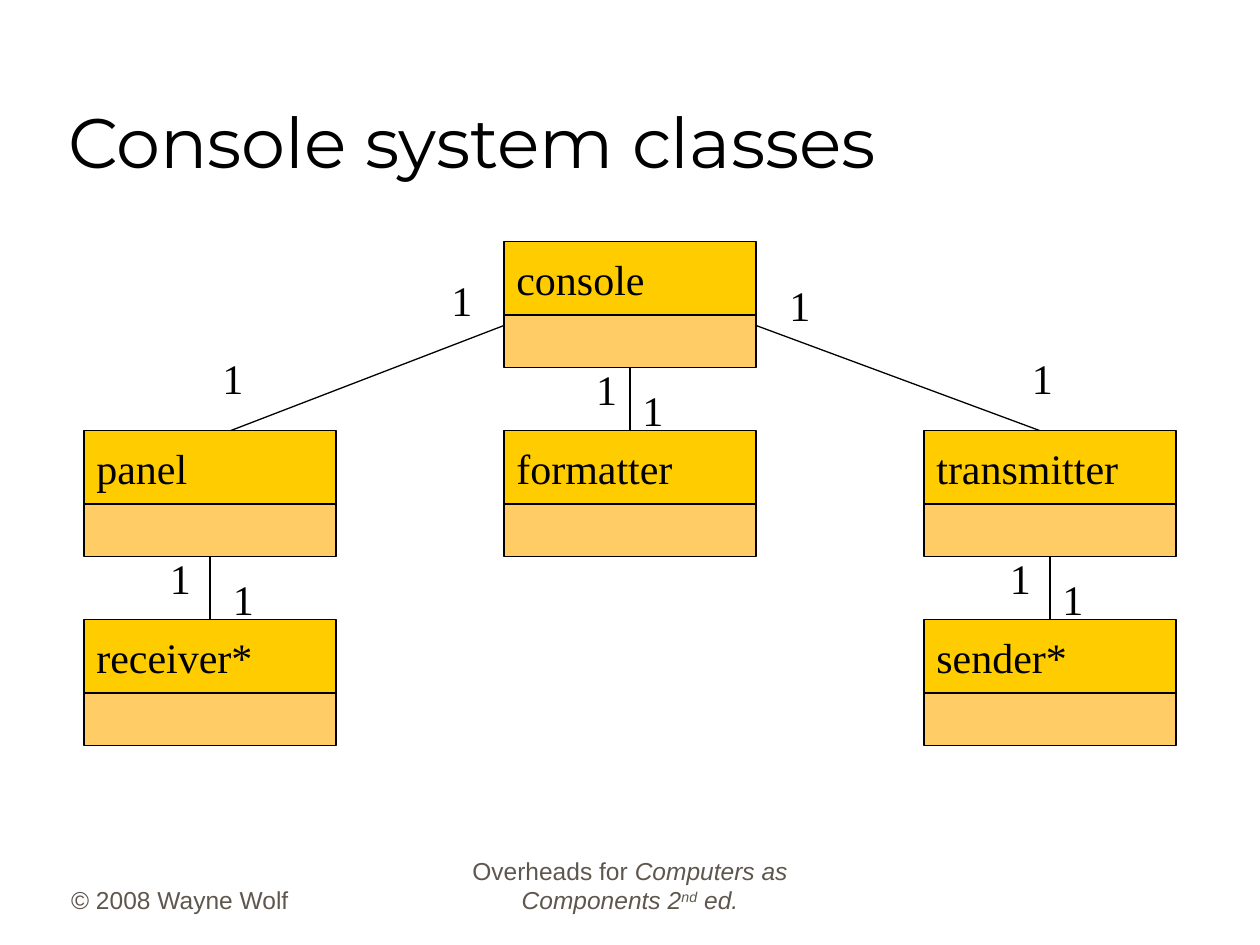
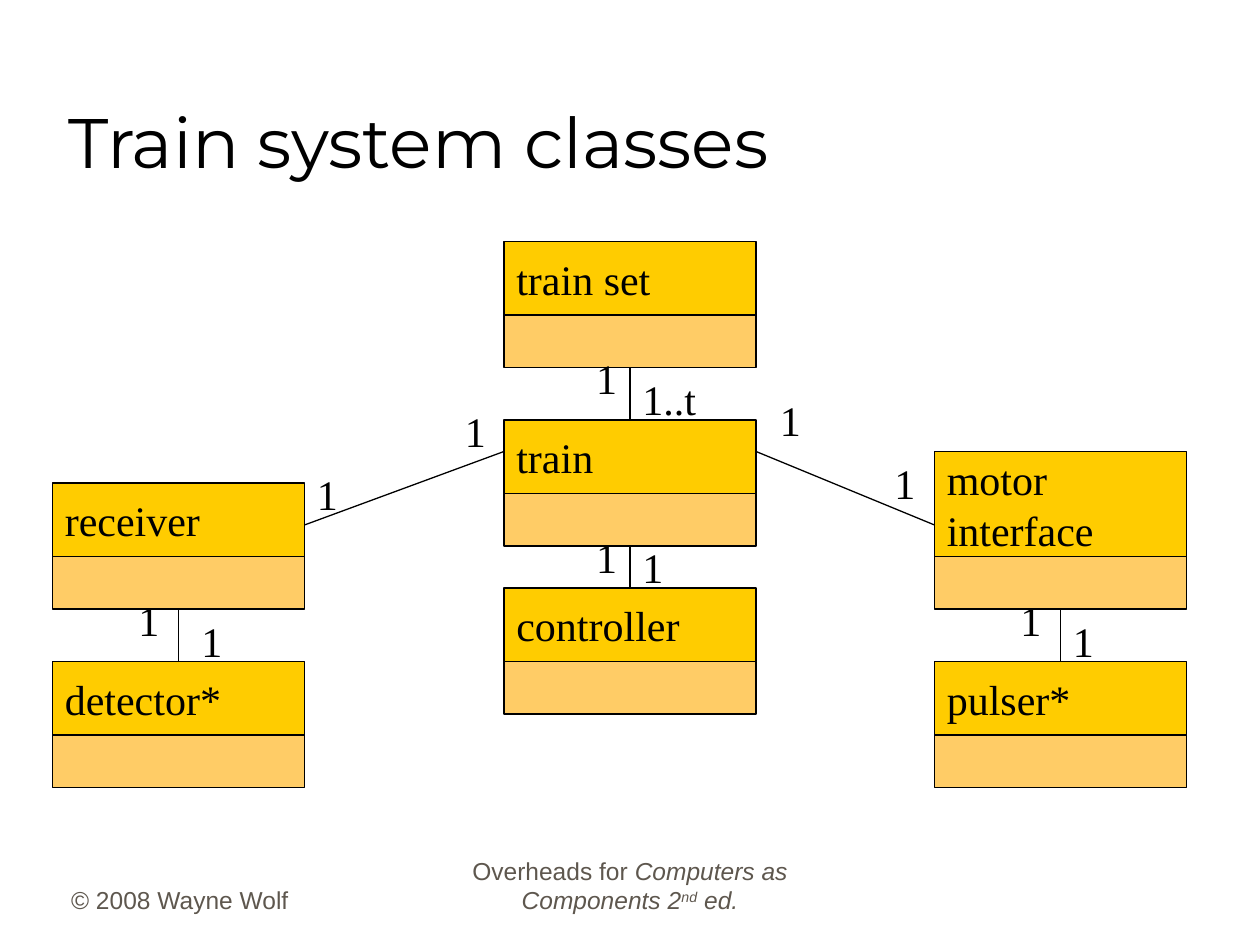
from lxml import etree
from pptx import Presentation
from pptx.dml.color import RGBColor
from pptx.enum.shapes import MSO_CONNECTOR, MSO_SHAPE
from pptx.enum.text import MSO_ANCHOR, MSO_AUTO_SIZE, PP_ALIGN
from pptx.oxml.ns import qn
from pptx.util import Pt

PX = 7620
BLACK = RGBColor(0x00, 0x00, 0x00)
GREY = RGBColor(0x5E, 0x57, 0x4E)
GOLD = RGBColor(0xFF, 0xCC, 0x00)
PEACH = RGBColor(0xFF, 0xCC, 0x66)
RECT = MSO_SHAPE.RECTANGLE
LINE = MSO_CONNECTOR.STRAIGHT
TOP, MIDDLE, BOTTOM = MSO_ANCHOR.TOP, MSO_ANCHOR.MIDDLE, MSO_ANCHOR.BOTTOM
LEFT, CENTER = PP_ALIGN.LEFT, PP_ALIGN.CENTER
GROW = MSO_AUTO_SIZE.SHAPE_TO_FIT_TEXT
SERIF = ("Times New Roman", 24, BLACK)
SANS = ("Arial", 14, GREY)
HEAD = ("Montserrat", 40, BLACK)
WIDE, NAME, BODY = 240, 70, 50

FOOTS = [
    (56, 250, LEFT, [("© 2008 Wayne Wolf", False, 0)]),
    (410, 380, CENTER, [
        ("Overheads for ", False, 0),
        ("Computers as Components 2", True, 0),
        ("nd", True, 30000),
        (" ed.", True, 0),
    ]),
]

SLIDES = [
    {
        "title": "Console system classes",
        "boxes": [
            (480, 230, "console"), (80, 410, "panel"),
            (480, 410, "formatter"), (880, 410, "transmitter"),
            (80, 590, "receiver*"), (880, 590, "sender*"),
        ],
        "links": [
            (480, 310, 220, 410), (720, 310, 990, 410),
            (600, 350, 600, 410), (200, 530, 200, 590),
            (1000, 530, 1000, 590),
        ],
        "marks": [
            (418, 256, "1"), (200, 330, "1"), (740, 260, "1"),
            (971, 330, "1"), (556, 340, "1"), (600, 360, "1"),
            (150, 520, "1"), (210, 540, "1"), (950, 520, "1"),
            (1000, 540, "1"),
        ],
    },
    {
        "title": "Train system classes",
        "boxes": [
            (480, 230, "train set"), (480, 400, "train"),
            (50, 460, "receiver"), (480, 560, "controller"),
            (890, 430, "motor\ninterface"), (50, 630, "detector*"),
            (890, 630, "pulser*"),
        ],
        "links": [
            (600, 350, 600, 400), (480, 430, 290, 500),
            (720, 430, 890, 500), (600, 520, 600, 560),
            (170, 580, 170, 630), (1010, 580, 1010, 630),
        ],
        "marks": [
            (556, 330, "1"), (600, 350, "1..t"), (731, 370, "1"),
            (840, 430, "1"), (960, 560, "1"), (1010, 580, "1"),
            (556, 500, "1"), (600, 510, "1"), (431, 380, "1"),
            (290, 440, "1"), (120, 560, "1"), (180, 580, "1"),
        ],
    },
]


def write(shape, lines, style, anchor=TOP, wrap=False, align=LEFT, gap=0):
    face, size, color = style
    frame = shape.text_frame
    frame.word_wrap = wrap
    frame.vertical_anchor = anchor
    for at, runs in enumerate(lines):
        para = frame.add_paragraph() if at else frame.paragraphs[0]
        para.alignment = align
        para.space_before = Pt(gap)
        for text, slant, lift in runs:
            run = para.add_run()
            run.text = text
            run.font.name = face
            run.font.size = Pt(size)
            run.font.color.rgb = color
            run.font.italic = slant
            if lift:
                run.font._element.set("baseline", str(lift))


def block(slide, x, y, high, fill):
    shape = slide.shapes.add_shape(RECT, x * PX, y * PX, WIDE * PX, high * PX)
    shape.shadow.inherit = False
    shape.fill.solid()
    shape.fill.fore_color.rgb = fill
    shape.line.color.rgb = BLACK
    shape.line.width = Pt(0.75)
    return shape


deck = Presentation()
deck.slide_width = 1200 * PX
deck.slide_height = 900 * PX

for page in SLIDES:
    slide = deck.slides.add_slide(deck.slide_layouts[6])
    for x, wide, align, runs in FOOTS:
        foot = slide.shapes.add_textbox(x * PX, 817 * PX, wide * PX, 60 * PX)
        write(foot, [runs], SANS, BOTTOM, True, align, 8.8)
    title = slide.shapes.add_textbox(53 * PX, 30 * PX, 1020 * PX, 150 * PX)
    write(title, [[(page["title"], False, 0)]], HEAD, BOTTOM, True)

    for x, y, name in page["boxes"]:
        words = name.split("\n")
        high = NAME + 30 * (len(words) - 1)
        top = block(slide, x, y, high, GOLD)
        write(top, [[(word, False, 0)] for word in words], SERIF, MIDDLE)
        block(slide, x, y + high, BODY, PEACH)

    for ends in page["links"]:
        link = slide.shapes.add_connector(LINE, *[end * PX for end in ends])
        link.line.color.rgb = BLACK
        link.line.width = Pt(0.75)
        etree.SubElement(link._element.spPr, qn("a:effectLst"))

    for x, y, text in page["marks"]:
        wide = 44 if len(text) == 1 else 77
        mark = slide.shapes.add_textbox(x * PX, y * PX, wide * PX, 60 * PX)
        write(mark, [[(text, False, 0)]], SERIF)
        mark.text_frame.auto_size = GROW

deck.save("out.pptx")
